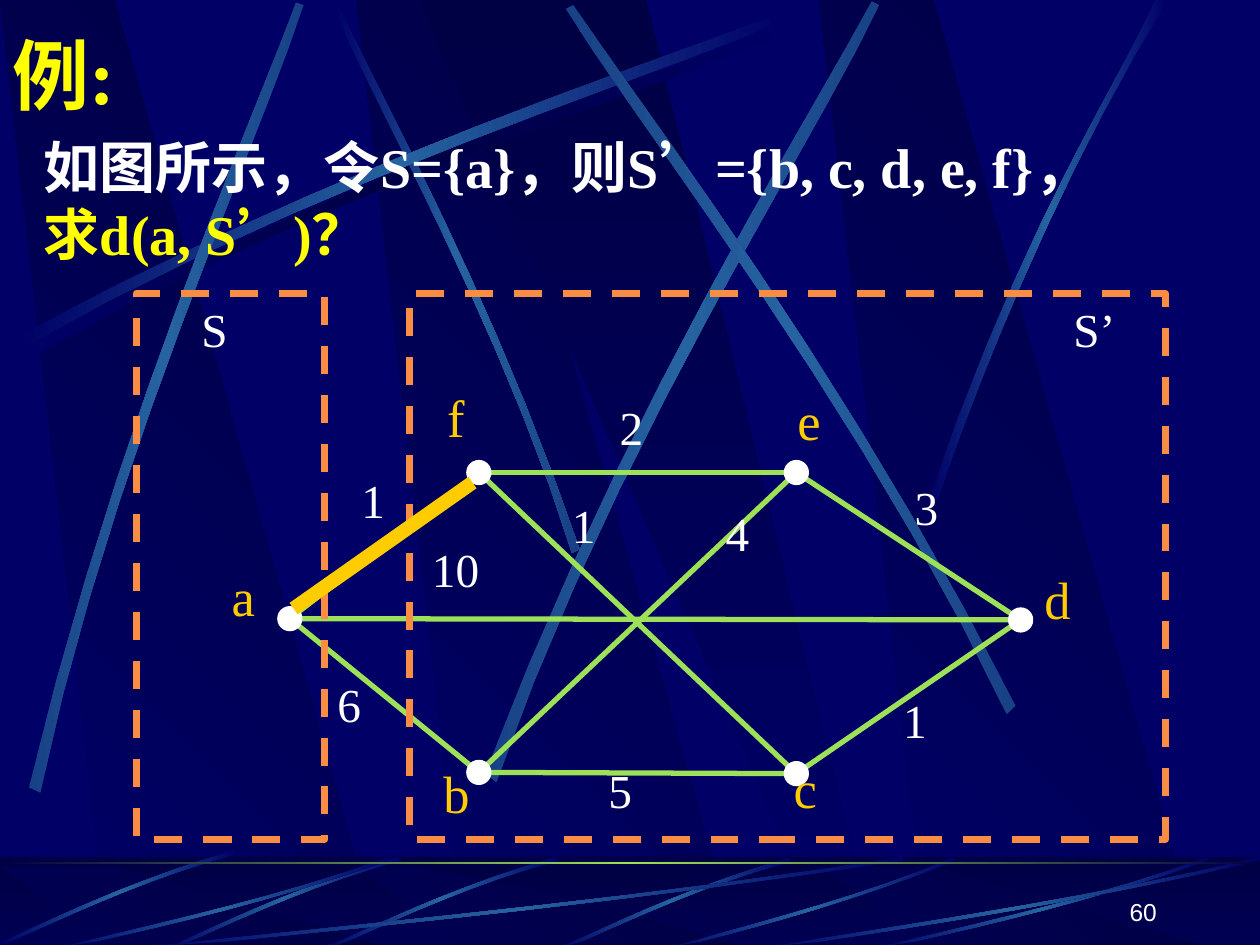
"""Build a slide that asks for the distance from S to S' in a weighted graph."""
from copy import deepcopy

from lxml import etree
from pptx import Presentation
from pptx.dml.color import RGBColor
from pptx.enum.dml import MSO_LINE
from pptx.enum.shapes import MSO_CONNECTOR, MSO_SHAPE
from pptx.enum.text import MSO_ANCHOR, PP_ALIGN
from pptx.oxml.ns import qn
from pptx.util import Inches, Pt

RECT, OVAL = MSO_SHAPE.RECTANGLE, MSO_SHAPE.OVAL
STRAIGHT, DASH = MSO_CONNECTOR.STRAIGHT, MSO_LINE.DASH
TOP, MIDDLE, BOTTOM = MSO_ANCHOR.TOP, MSO_ANCHOR.MIDDLE, MSO_ANCHOR.BOTTOM
LEFT, RIGHT, JUSTIFY = PP_ALIGN.LEFT, PP_ALIGN.RIGHT, PP_ALIGN.JUSTIFY
NAVY, DARK, TEAL, DIM = "000066", "000044", "2663A0", "184186"
WHITE, YELLOW, GOLD = "FFFFFF", "FFFF00", "FFCC00"
GREEN, ORANGE = "9CE157", "F98D43"

prs = Presentation()
prs.slide_width, prs.slide_height = Inches(10), Inches(7.5)
COL, ROW = prs.slide_width / 10, prs.slide_height / 7.5
s = prs.slides.add_slide(prs.slide_layouts[6])


def paint(fill, *colors, angle=0):
    """Fill with one colour, or with an even gradient of two or three."""
    if len(colors) == 1:
        fill.solid()
        fill.fore_color.rgb = RGBColor.from_string(colors[0])
        return
    fill.gradient()
    fill.gradient_angle = angle
    stops = fill.gradient_stops
    if len(colors) == 3:
        stops[0]._gs.addnext(deepcopy(stops[0]._gs))
    for i, color in enumerate(colors):
        stops[i].color.rgb = RGBColor.from_string(color)
        stops[i].position = i / (len(colors) - 1)


def add_text(text, x, y, w, h, size=27, color=WHITE, font="Times New Roman",
             bold=False, align=JUSTIFY, anchor=TOP, second=None):
    """Add a text box; a second line, if given, is yellow."""
    sp = s.shapes.add_textbox(int(x * COL), int(y * ROW), int(w * COL), int(h * ROW))
    tf = sp.text_frame
    tf.word_wrap, tf.vertical_anchor = True, anchor
    p = tf.paragraphs[0]
    p.alignment = align
    for line, shade in ((text, color), (second, YELLOW)):
        if line is None:
            continue
        if p.runs:
            p.add_line_break()
        r = p.add_run()
        r.text = line
        r.font.size, r.font.bold, r.font.name = Pt(size), bold, font
        paint(r.font.fill, shade)


paint(s.background.fill, NAVY)

beam = [(0.86, 1), (3.02, 1), (0.91, 0), (0, 0)]
cone = [(3.33, 0), (6.58, 1), (6.94, 1), (5.13, 0)]
beams = [([(x + dx, y) for x, y in beam], (NAVY, DARK), 45) for dx in (2.83, 0, 6.5)]
beams.append((cone, (DARK, NAVY), 270))

fade, soft = (NAVY, TEAL, NAVY), (DIM, TEAL, DIM)
sweep = [(0.14, 2.67), (2.78, 1.25), (5.18, 0.51), (6.2, 0.1),
         (6.23, 0.16), (5.22, 0.61), (2.48, 1.43), (0.17, 2.77)]
upper_streaks = [
    ([(x + 0.06, y + 0.08) for x, y in sweep], (NAVY, DARK, NAVY)),
    ([(4.6, 4.36), (3.91, 2.34), (3.02, 0.77), (2.69, 0.05),
      (2.65, 0.07), (2.95, 0.79), (3.98, 2.58), (4.54, 4.39)], (NAVY, TEAL, DIM)),
    (sweep, fade),
    ([(0.23, 6.25), (0.93, 3.34), (1.97, 1.05), (2.35, 0.02),
      (2.41, 0.04), (2.07, 1.09), (0.86, 3.68), (0.32, 6.29)], soft),
    ([(3.85, 6.14), (4.98, 3.2), (6.38, 1.02), (6.92, 0.01),
      (6.98, 0.04), (6.49, 1.08), (4.86, 3.55), (3.94, 6.21)], soft),
    ([(8.06, 5.6), (6.7, 2.93), (5.16, 0.95), (4.55, 0.04),
      (4.49, 0.07), (5.07, 1.01), (6.85, 3.25), (7.99, 5.67)], soft),
    ([(7.38, 3.94), (8.14, 1.73), (8.88, 0.66), (9.17, 0),
      (9.27, 0), (8.36, 1.45), (7.69, 3.22), (7.44, 3.97)], fade),
]
short = [(4.42, 6.8), (3.55, 7.05), (2.87, 7.4), (2.56, 7.53),
         (2.57, 7.55), (2.88, 7.43), (3.65, 7.03), (4.44, 6.83)]
long = [(1, 6.83), (0.57, 7.23), (0.17, 7.44), (0, 7.55),
        (0, 7.54), (0.16, 7.41), (0.62, 7.18), (1, 6.8)]
lower_streaks = [([(x + dx, y + dy) for x, y in short], fade)
                 for dx, dy in ((1.84, 0.01), (0, 0), (-1.25, 0), (-2.56, -0.05))]
lower_streaks += [([(x + w * t, y) for t, y in long], fade)
                  for x, w in ((1, 6.17), (0.42, 2.67), (5.27, 2.31), (6.92, 2.67), (6, 4))]

for top, height, streaks in ((0, 7.5, upper_streaks), (6.88, 0.62, lower_streaks)):
    outlines = [([(x, top + height * t) for x, t in pts], colors, angle)
                for pts, colors, angle in beams]
    for q, colors in streaks:
        curve = []
        for a, b, c, d in (q[:4], q[4:]):
            for t in (i / 10 for i in range(11)):
                u = 1 - t
                curve.append([u**3 * a[k] + 3 * u * u * t * b[k] + 3 * u * t * t * c[k]
                              + t**3 * d[k] for k in (0, 1)])
        outlines.append((curve, colors, 0))
    if top:
        sp = s.shapes.add_shape(RECT, 0, int(6.8 * ROW), int(10 * COL), int(0.7 * ROW))
        sp.shadow.inherit = False
        sp.line.fill.background()
        paint(sp.fill, DARK, NAVY, angle=270)
    for i, (pts, colors, angle) in enumerate(outlines):
        if top and i == len(beams):
            sp = s.shapes.add_shape(RECT, 0, int(6.8 * ROW), int(10 * COL), int(0.7 * ROW))
            sp.shadow.inherit = False
            sp.line.fill.background()
            paint(sp.fill, DARK)
            rgb = sp._element.spPr.find(".//" + qn("a:srgbClr"))
            etree.SubElement(rgb, qn("a:alpha"), val="50000")
        pts = [(x * COL, min(y, 7.5) * ROW) for x, y in pts]
        builder = s.shapes.build_freeform(*pts[0])
        builder.add_line_segments(pts[1:], close=True)
        sp = builder.convert_to_shape()
        sp.shadow.inherit = False
        sp.line.fill.background()
        paint(sp.fill, *colors, angle=angle)

sp = s.shapes.add_shape(RECT, 0, int(6.84 * ROW), int(10 * COL), int(0.02 * ROW))
sp.shadow.inherit = False
sp.line.fill.background()
paint(sp.fill, DARK, GREEN, DARK)

add_text("例:", 0, 0.17, 8.92, 0.83, size=44, color=YELLOW, bold=True, align=LEFT, anchor=MIDDLE)
add_text("如图所示，令S={a}，则S’={b, c, d, e, f}，", 0.25, 1, 9.5, 1.33,
         size=32, bold=True, align=LEFT, second="求d(a, S’)？")

nodes = {"a": (2.3, 4.91), "b": (3.8, 6.13), "c": (6.32, 6.14),
         "d": (8.1, 4.92), "e": (6.32, 3.75), "f": (3.8, 3.75)}
links = [(nodes[m], nodes[n], GREEN, 3)
         for m, n in ("be", "fc", "ab", "bc", "cd", "ad", "af", "fe", "ed")]
links.append(((2.33, 4.83), (3.75, 3.83), GOLD, 8))
for (x1, y1), (x2, y2), color, width in links:
    ln = s.shapes.add_connector(STRAIGHT, int(x1 * COL), int(y1 * ROW), int(x2 * COL), int(y2 * ROW))
    ln.line.width = Pt(width)
    paint(ln.line.fill, color)
    etree.SubElement(ln._element.spPr, qn("a:effectLst"))

D = 0.19
for x, y in nodes.values():
    sp = s.shapes.add_shape(OVAL, int((x - D / 2) * COL), int((y - D / 2) * ROW),
                            int(D * COL), int(D * ROW))
    sp.shadow.inherit = False
    paint(sp.fill, WHITE)
    paint(sp.line.fill, WHITE)
    sp.line.width = Pt(0.75)

for name, x, y in (("a", 1.74, 4.43), ("b", 3.42, 5.99), ("c", 6.2, 5.95),
                   ("d", 8.19, 4.45), ("e", 6.23, 3.03), ("f", 3.45, 3.01)):
    add_text(name, x, y, 0.5, 0.79, size=30, color=GOLD)
for label, x, y in (("1", 2.77, 3.69), ("2", 4.82, 3.11), ("5", 4.73, 5.99), ("6", 2.58, 5.31),
                    ("10", 3.33, 4.24), ("1", 4.44, 3.89), ("1", 7.07, 5.44), ("4", 5.66, 3.95),
                    ("3", 7.16, 3.75), ("S’", 8.42, 2.33), ("S", 1.5, 2.33)):
    add_text(label, x, y, 0.24 + 0.24 * len(label), 0.71)

for x, w in ((1.08, 1.5), (3.25, 6)):
    sp = s.shapes.add_shape(RECT, int(x * COL), int(2.33 * ROW), int(w * COL), int(4.33 * ROW))
    sp.shadow.inherit = False
    sp.fill.background()
    paint(sp.line.fill, ORANGE)
    sp.line.width, sp.line.dash_style = Pt(4), DASH
s.shapes._spTree.append(ln._element)

add_text("60", 7.2, 6.9, 2.08, 0.5, size=14, font="Arial", align=RIGHT, anchor=BOTTOM)

prs.save("out.pptx")
